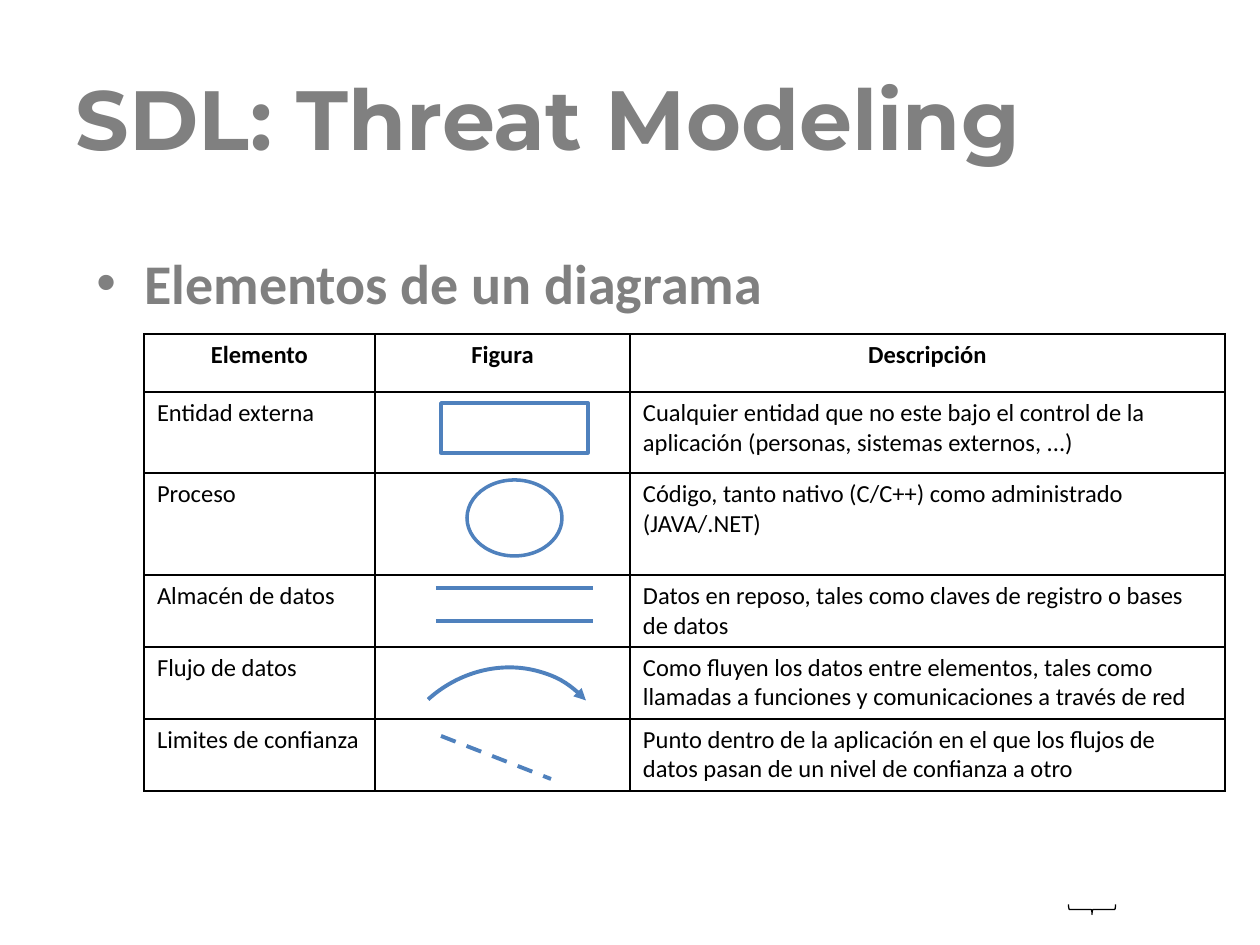
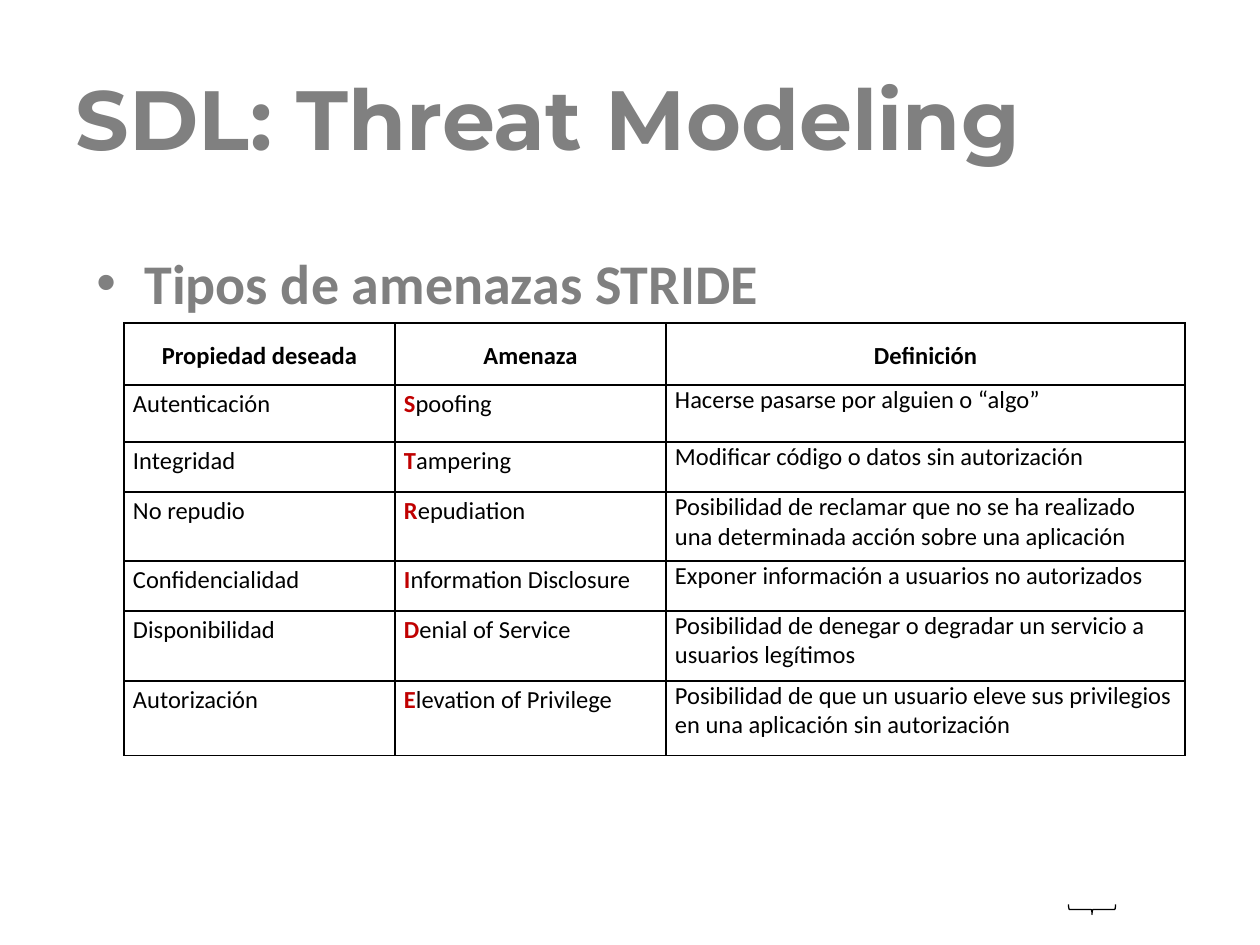
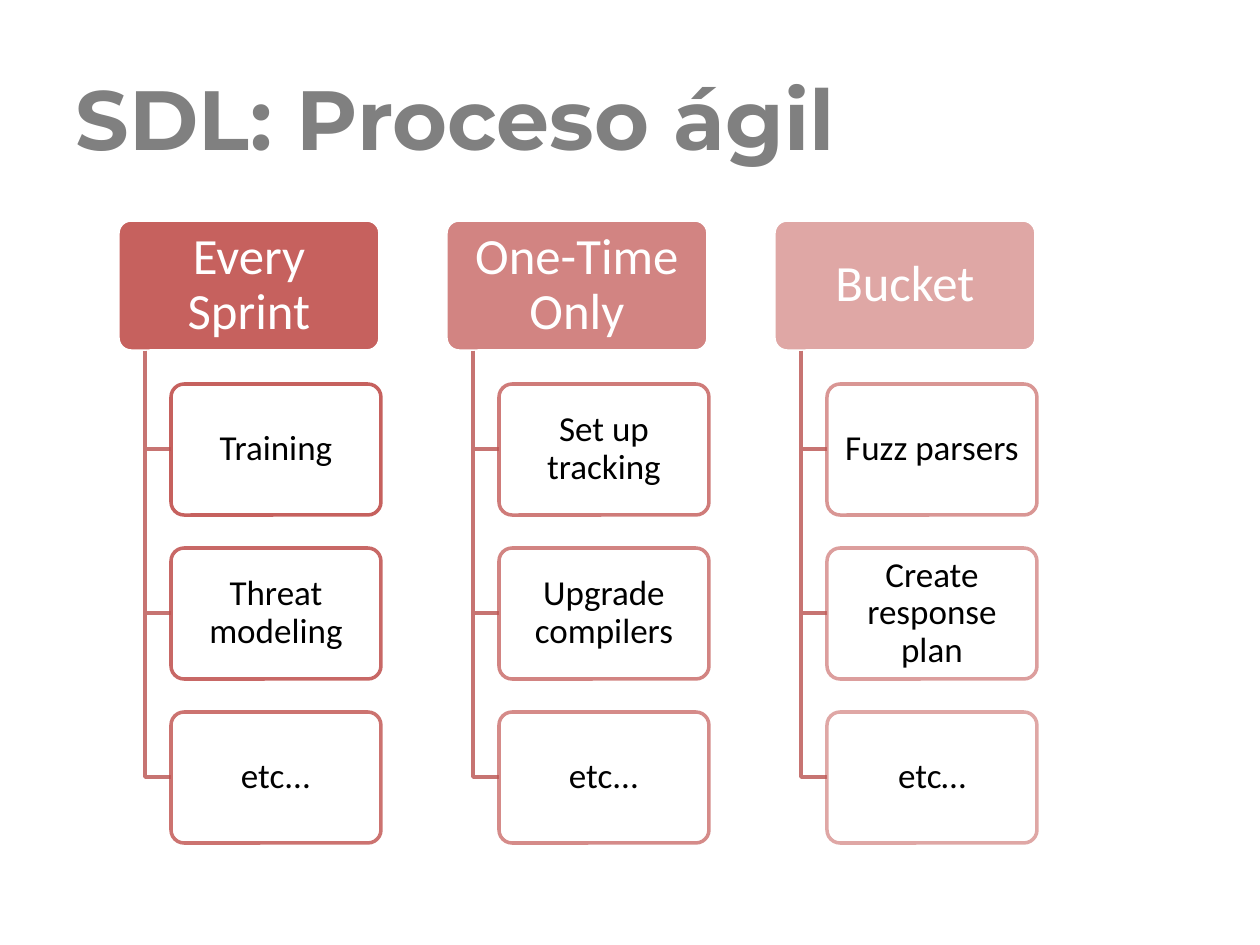
from dataclasses import dataclass

from lxml.etree import SubElement
from pptx import Presentation
from pptx.dml.color import RGBColor
from pptx.enum.dml import MSO_LINE
from pptx.enum.shapes import MSO_CONNECTOR, MSO_SHAPE
from pptx.enum.text import MSO_ANCHOR, PP_ALIGN
from pptx.oxml.ns import qn
from pptx.util import Emu, Pt


@dataclass(frozen=True)
class Theme:
    gray: str = "808080"
    black: str = "000000"
    white: str = "FFFFFF"
    blue: str = "4F81BD"
    red: str = "C0504D"
    stem: str = "C77472"
    mark: str = "C00000"
    head: str = "Montserrat"
    body: str = "Calibri"
    title: int = 48
    topic: int = 32
    group: int = 29
    step: int = 20
    cell: int = 14


THEME = Theme()


def px(count):
    return Emu(round(count * 914400 / 126))


def write(frame, text, size=THEME.cell, font=THEME.body, tint=THEME.black,
          bold=False, align=PP_ALIGN.LEFT, gap=1.0, lead=False):
    """Fill the first paragraph; lead sets its first letter bold in the mark colour."""
    frame.word_wrap = True
    para = frame.paragraphs[0]
    para.alignment = align
    para.line_spacing = gap
    parts = [(text, tint, bold)]
    if lead:
        parts = [(text[0], THEME.mark, True), (text[1:], tint, bold)]
    for part, color, heavy in parts:
        run = para.add_run()
        run.text = part
        run.font.name = font
        run.font.size = Pt(size)
        run.font.bold = heavy
        run.font.color.rgb = RGBColor.from_string(color)
    return para


def pad(host, side, top):
    """Set the inner margins of a cell or a text frame."""
    host.margin_left = host.margin_right = px(side)
    host.margin_top = host.margin_bottom = px(top)


def fade(node, share):
    """Make the solid fill inside node opaque to share percent."""
    color = node.find(qn("a:solidFill")).find(qn("a:srgbClr"))
    SubElement(color, qn("a:alpha"), val=str(share * 1000))


def edge(cell):
    """Draw thin black borders round a cell without fill."""
    props = cell._tc.get_or_add_tcPr()
    for side in "LRTB":
        line = SubElement(props, qn(f"a:ln{side}"), w=str(Pt(1)))
        fill = SubElement(line, qn("a:solidFill"))
        SubElement(fill, qn("a:srgbClr"), val=THEME.black)
    cell.fill.background()


class Deck:
    def __init__(self):
        self.show = Presentation()
        self.show.slide_width, self.show.slide_height = px(1260), px(945)
        self.slide = None

    @property
    def shapes(self):
        return self.slide.shapes

    def page(self, title):
        self.slide = self.show.slides.add_slide(self.show.slide_layouts[5])
        head = self.shapes.title
        head.left, head.top, head.width, head.height = map(px, (63, 38, 1134, 158))
        head.text_frame.vertical_anchor = MSO_ANCHOR.MIDDLE
        write(head.text_frame, title, THEME.title, THEME.head, THEME.gray, True)

    def topic(self, text):
        """Add the bulleted subject line and the small brace at the foot."""
        self.shape(MSO_SHAPE.RIGHT_BRACE, 1087, 886, 10, 47,
                   tint=THEME.black, width=0.75, turn=90)
        box = self.shapes.add_textbox(*map(px, (84, 242, 1271, 624)))
        para = write(box.text_frame, text, THEME.topic, tint=THEME.gray, bold=True)
        props = para._p.get_or_add_pPr()
        props.set("marL", str(px(48)))
        props.set("indent", str(-px(48)))
        SubElement(props, qn("a:buFont"), typeface="Arial")
        SubElement(props, qn("a:buChar"), char="•")

    def shape(self, kind, left, top, wide, high, tint=THEME.blue, width=2,
              fill=None, turn=0):
        item = self.shapes.add_shape(kind, *map(px, (left, top, wide, high)))
        item.rotation = turn
        self.style(item, tint, width, fill)
        return item

    def style(self, item, tint, width, fill=None):
        item.shadow.inherit = False
        item.line.color.rgb = RGBColor.from_string(tint)
        item.line.width = Pt(width)
        if fill:
            item.fill.solid()
            item.fill.fore_color.rgb = RGBColor.from_string(fill)
        else:
            item.fill.background()

    def line(self, *ends, dash=None):
        item = self.shapes.add_connector(MSO_CONNECTOR.STRAIGHT, *map(px, ends))
        item.line.color.rgb = RGBColor.from_string(THEME.blue)
        item.line.width = Pt(2.25)
        item.line.dash_style = dash
        SubElement(item._element.spPr, qn("a:effectLst"))

    def curve(self, left, top, wide, high, turn):
        """Add an arc that ends in an arrowhead."""
        item = self.shape(MSO_SHAPE.ARC, left, top, wide, high, width=2.25, turn=turn)
        SubElement(item._element.spPr.find(qn("a:ln")), qn("a:tailEnd"), type="triangle")

    def bend(self, left, top, right, base):
        """Draw a stem down from a group and across to a step."""
        path = self.shapes.build_freeform(px(left), px(top), scale=1.0)
        path.add_line_segments([(px(left), px(base)), (px(right), px(base))], close=False)
        self.style(path.convert_to_shape(), THEME.stem, 2)

    def card(self, text, left, top, wide, high, size, ink, tint, fill, inset):
        item = self.shape(MSO_SHAPE.ROUNDED_RECTANGLE, left, top, wide, high,
                          tint=tint, fill=fill)
        item.adjustments[0] = 0.1
        pad(item.text_frame, *inset)
        item.text_frame.vertical_anchor = MSO_ANCHOR.MIDDLE
        write(item.text_frame, text, size, tint=ink, align=PP_ALIGN.CENTER, gap=0.9)
        return item._element.spPr

    def grid(self, left, top, cols, rows, data, inset=(13, 6), gap=1.0,
             anchor=MSO_ANCHOR.TOP, lead=None):
        """Add a table; gap spaces all but the last column, lead is the marked column."""
        frame = self.shapes.add_table(
            len(rows), len(cols), *map(px, (left, top, sum(cols), sum(rows))))
        table = frame.table
        table.first_row = table.horz_banding = False
        for col, wide in zip(table.columns, cols):
            col.width = px(wide)
        for row, high in zip(table.rows, rows):
            row.height = px(high)
        for y, texts in enumerate(data):
            for x, text in enumerate(texts):
                cell = table.cell(y, x)
                edge(cell)
                pad(cell, *inset)
                top_row = y == 0
                cell.vertical_anchor = anchor if top_row else MSO_ANCHOR.TOP
                if text:
                    write(cell.text_frame, text, bold=top_row,
                          align=PP_ALIGN.CENTER if top_row else PP_ALIGN.LEFT,
                          gap=gap if top_row or x < len(cols) - 1 else 1.0,
                          lead=x == lead and not top_row)


PARTS = [
    ("Elemento", "Figura", "Descripción"),
    ("Entidad externa", "", "Cualquier entidad que no este bajo el control de la "
     "aplicación (personas, sistemas externos, ...)"),
    ("Proceso", "", "Código, tanto nativo (C/C++) como administrado (JAVA/.NET)"),
    ("Almacén de datos", "", "Datos en reposo, tales como claves de registro o bases de datos"),
    ("Flujo de datos", "", "Como fluyen los datos entre elementos, tales como "
     "llamadas a funciones y comunicaciones a través de red"),
    ("Limites de confianza", "", "Punto dentro de la aplicación en el que los flujos de "
     "datos pasan de un nivel de confianza a otro"),
]

THREATS = [
    ("Propiedad deseada", "Amenaza", "Definición"),
    ("Autenticación", "Spoofing", "Hacerse pasarse por alguien o “algo”"),
    ("Integridad", "Tampering", "Modificar código o datos sin autorización"),
    ("No repudio", "Repudiation", "Posibilidad de reclamar que no se ha realizado "
     "una determinada acción sobre una aplicación"),
    ("Confidencialidad", "Information Disclosure",
     "Exponer información a usuarios no autorizados"),
    ("Disponibilidad", "Denial of Service",
     "Posibilidad de denegar o degradar un servicio a usuarios legítimos"),
    ("Autorización", "Elevation of Privilege", "Posibilidad de que un usuario eleve "
     "sus privilegios en una aplicación sin autorización"),
]

GROUPS = [
    ("Every Sprint", ["Training", "Threat modeling", "etc..."]),
    ("One-Time Only", ["Set up tracking", "Upgrade compilers", "etc..."]),
    ("Bucket", ["Fuzz parsers", "Create response plan", "etc…"]),
]


def parts(deck):
    deck.page("SDL: Threat Modeling")
    deck.topic("Elementos de un diagrama")
    deck.grid(144, 334, [231, 255, 595], [58, 81, 102, 72, 72, 72], PARTS)
    deck.shape(MSO_SHAPE.RECTANGLE, 441, 403, 147, 50)
    deck.shape(MSO_SHAPE.OVAL, 467, 480, 95, 76)
    for y in (588, 621):
        deck.line(436, y, 593, y)
    deck.curve(383, 672, 233, 213, turn=317.9)
    deck.line(441, 736, 551, 779, dash=MSO_LINE.DASH)


def threats(deck):
    deck.page("SDL: Threat Modeling")
    deck.topic("Tipos de amenazas STRIDE")
    deck.grid(124, 323, [271, 271, 519], [62, 57, 50, 69, 50, 70, 75], THREATS,
              inset=(9, 0), gap=1.15, anchor=MSO_ANCHOR.MIDDLE, lead=1)


def agile(deck):
    deck.page("SDL: Proceso ágil")
    top, high, pitch = 220, 131, 164
    for i, (group, steps) in enumerate(GROUPS):
        left = 118 + 328 * i
        props = deck.card(group, left, top, 262, high, THEME.group, THEME.white,
                          THEME.white, THEME.red, (8, 5))
        fade(props, 90 - 20 * i)
        for j, step in enumerate(steps):
            y = top + pitch * (j + 1)
            deck.bend(left + 27, top + high, left + 53, y + high // 2)
            props = deck.card(step, left + 53, y, 210, high, THEME.step, THEME.black,
                              THEME.red, THEME.white, (5, 4))
            fade(props, 90)
            fade(props.find(qn("a:ln")), 90 - 5 * (len(steps) * i + j))


def main():
    deck = Deck()
    for build in (parts, threats, agile):
        build(deck)
    deck.show.save("out.pptx")


if __name__ == "__main__":
    main()
